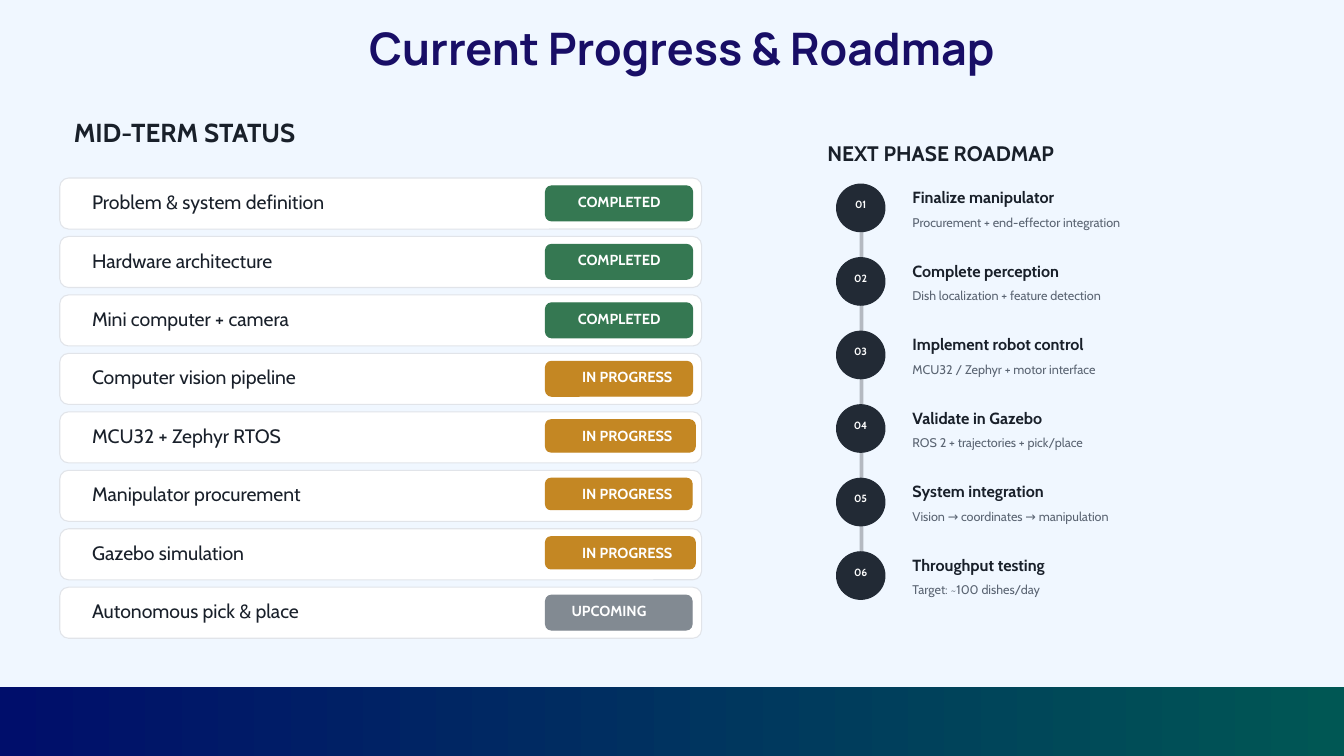
from pptx import Presentation
from pptx.dml.color import RGBColor
from pptx.enum.shapes import MSO_SHAPE as Shape
from pptx.enum.text import MSO_ANCHOR as Anchor, MSO_AUTO_SIZE as AutoSize, PP_ALIGN as Align
from pptx.util import Cm, Pt

TITLE = "Current Progress & Roadmap"
STATUS_HEADING = "MID-TERM STATUS"
ROADMAP_HEADING = "NEXT PHASE ROADMAP"
STATUS_STYLES = {
    "COMPLETED": {"color": "357852", "label_width": 4.55},
    "IN PROGRESS": {"color": "C48723", "label_width": 5.16},
    "UPCOMING": {"color": "828A92", "label_width": 3.78},
}
TASKS = [
    ("Problem & system definition", "COMPLETED", 5.56, 1.32),
    ("Hardware architecture", "COMPLETED", 5.56, 1.32),
    ("Mini computer + camera", "COMPLETED", 5.56, 1.32),
    ("Computer vision pipeline", "IN PROGRESS", 5.56, 1.32),
    ("MCU32 + Zephyr RTOS", "IN PROGRESS", 5.66, 1.22),
    ("Manipulator procurement", "IN PROGRESS", 5.54, 1.19),
    ("Gazebo simulation", "IN PROGRESS", 5.66, 1.22),
    ("Autonomous pick & place", "UPCOMING", 5.54, 1.32),
]
STEPS = [
    ("Finalize manipulator", "Procurement + end-effector integration"),
    ("Complete perception", "Dish localization + feature detection"),
    ("Implement robot control", "MCU32 / Zephyr + motor interface"),
    ("Validate in Gazebo", "ROS 2 + trajectories + pick/place"),
    ("System integration", "Vision → coordinates → manipulation"),
    ("Throughput testing", "Target: ~100 dishes/day"),
]
INK, MUTED, WHITE, NAVY = "19202A", "5B6573", "FFFFFF", "222A35"
PAGE_WIDTH, PAGE_HEIGHT = 50.8, 28.58
CARD_TOP, CARD_PITCH = 6.73, 2.21
STEP_TOP, STEP_PITCH = 6.96, 2.78


def rgb(color):
    """Turn a hex string into a colour."""
    return RGBColor.from_string(color)


def place(item, left, top, width, height):
    """Move and size an item in centimetres."""
    item.left, item.top = Cm(left), Cm(top)
    item.width, item.height = Cm(width), Cm(height)


def write(box, text, size, color=INK, bold=False, align=Align.LEFT, font="Cabin", leading=1.2):
    """Fill a box with one formatted line of text."""
    frame = box.text_frame
    frame.word_wrap = True
    frame.auto_size = AutoSize.NONE
    frame.vertical_anchor = Anchor.TOP
    frame.margin_left = frame.margin_right = frame.margin_top = frame.margin_bottom = 0
    para = frame.paragraphs[0]
    para.alignment = align
    para.line_spacing = Pt(size * leading)
    span = para.add_run()
    span.text = text
    span.font.name, span.font.size, span.font.bold = font, Pt(size), bold
    span.font.color.rgb = rgb(color)


def add_text(page, area, text, **style):
    """Add a text box."""
    write(page.shapes.add_textbox(*map(Cm, area)), text, **style)


def add_block(page, kind, area, fill=None, line=None, corner=None):
    """Add a flat preset shape."""
    block = page.shapes.add_shape(kind, *map(Cm, area))
    block.shadow.inherit = False
    if fill:
        block.fill.solid()
        block.fill.fore_color.rgb = rgb(fill)
    if line:
        block.line.color.rgb = rgb(line)
        block.line.width = Pt(1.13)
    else:
        block.line.fill.background()
    if corner:
        block.adjustments[0] = corner
    return block


def add_task(page, top, task, status, badge_width, badge_height):
    """Add one status card with its badge."""
    style = STATUS_STYLES[status]
    color = style["color"]
    add_block(page, Shape.ROUNDED_RECTANGLE, (2.26, top, 24.26, 1.93), WHITE, "E1E4E9", 0.17)
    add_block(page, Shape.ROUNDED_RECTANGLE, (20.62, top + 0.3, badge_width, badge_height),
              color, color, 0.17)
    add_text(page, (3.48, top + 0.46, 16.36, 0.86), task, size=20.8)
    add_text(page, (21.13, top + 0.56, style["label_width"], 0.64), status,
             size=15.6, color=WHITE, bold=True, align=Align.CENTER)


def add_step(page, top, number, name, detail):
    """Add one numbered roadmap step."""
    add_block(page, Shape.OVAL, (31.62, top, 1.83, 1.8), NAVY, NAVY)
    add_text(page, (32.11, top + 0.53, 0.84, 0.48), f"{number:02}",
             size=11.2, color=WHITE, bold=True, align=Align.CENTER)
    add_text(page, (34.49, top + 0.13, 16, 0.71), name, size=17.3, bold=True)
    add_text(page, (34.49, top + 1.15, 16, 0.58), detail, size=13.5, color=MUTED)


def main():
    """Build and save the deck."""
    deck = Presentation()
    deck.slide_width, deck.slide_height = Cm(PAGE_WIDTH), Cm(PAGE_HEIGHT)
    page = deck.slides.add_slide(deck.slide_layouts[5])
    page.background.fill.solid()
    page.background.fill.fore_color.rgb = rgb("F0F7FF")

    title = page.shapes.title
    place(title, 4.5, 0.43, 42.55, 2.44)
    write(title, TITLE, size=48, color="180E66", bold=True, align=Align.CENTER,
          font="Manrope", leading=1.4)

    footer = add_block(page, Shape.RECTANGLE, (0, 25.96, PAGE_WIDTH, PAGE_HEIGHT - 25.96))
    footer.fill.gradient()
    footer.fill.gradient_angle = 0
    for stop, color, position in zip(footer.fill.gradient_stops, ("000E6B", "005754"), (0, 1)):
        stop.color.rgb = rgb(color)
        stop.position = position

    add_text(page, (2.79, 4.39, 24.51, 1.17), STATUS_HEADING, size=27.9, bold=True)
    for index, task in enumerate(TASKS):
        add_task(page, CARD_TOP + index * CARD_PITCH, *task)

    add_text(page, (31.27, 5.31, 19, 0.97), ROADMAP_HEADING, size=22.5, bold=True)
    add_block(page, Shape.RECTANGLE, (32.49, 7.37, 0.15, 15.06), "B4B9C1")
    for index, step in enumerate(STEPS):
        add_step(page, STEP_TOP + index * STEP_PITCH, index + 1, *step)

    deck.save("out.pptx")


if __name__ == "__main__":
    main()
